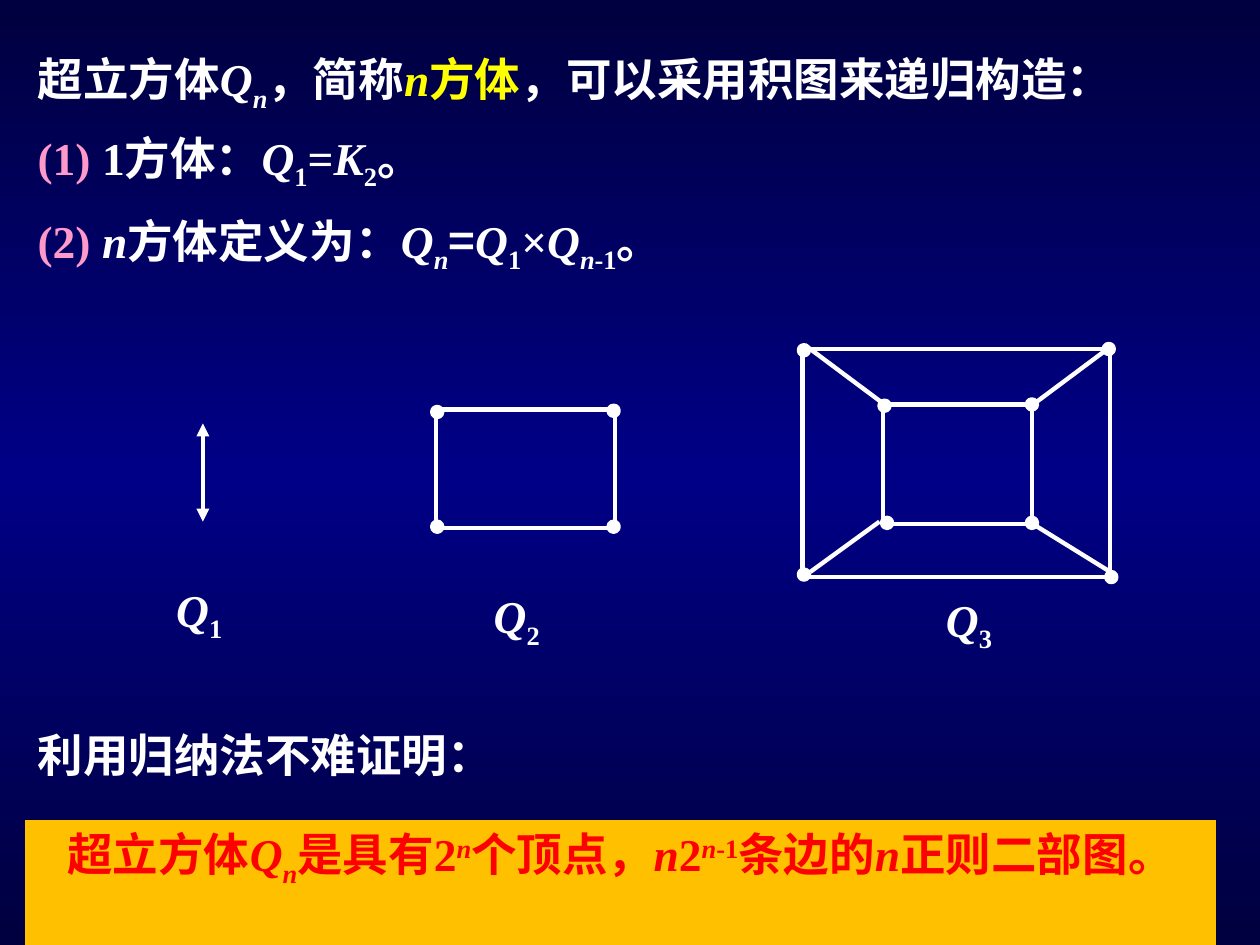
from copy import deepcopy

from pptx import Presentation
from pptx.dml.color import RGBColor
from pptx.enum.shapes import MSO_CONNECTOR as Connector, MSO_SHAPE as Shape
from pptx.enum.text import MSO_ANCHOR as Anchor, MSO_AUTO_SIZE as AutoSize, PP_ALIGN as Align
from pptx.oxml.ns import qn
from pptx.oxml.xmlchemy import OxmlElement
from pptx.util import Inches, Pt

WHITE = RGBColor(0xFF, 0xFF, 0xFF)
YELLOW = RGBColor(0xFF, 0xFF, 0x00)
PINK = RGBColor(0xFF, 0x99, 0xCC)
RED = RGBColor(0xFF, 0x00, 0x00)
ORANGE = RGBColor(0xFF, 0xC0, 0x00)
NAVY = RGBColor(0x00, 0x00, 0x3E)
BLUE = RGBColor(0x00, 0x00, 0x86)

ROMAN, HAN = "Times New Roman", "Noto Sans CJK SC"
SUB, SUP = -25000, 30000

# Run formats; whatever a format leaves out comes from SlideBuilder.base_format
UP = {}
CJK = {"name": HAN}
VAR = {"italic": True}
VAR_SUB = {"italic": True, "baseline": SUB}
NUM_SUB = {"baseline": SUB}
VAR_SUP = {"italic": True, "baseline": SUP}
NUM_SUP = {"baseline": SUP}


class SlideBuilder:
    base_format = {"name": ROMAN, "size": Pt(26), "bold": True, "italic": False}
    line_width = Pt(2.5)
    dot_size = 0.08

    def __init__(self, slide):
        self.slide = slide
        self.shapes = slide.shapes

    def background(self, colors):
        """Vertical gradient with evenly spaced colour stops."""
        fill = self.slide.background.fill
        fill.gradient()
        fill.gradient_angle = 270
        stop_list = self.slide._element.find(".//" + qn("a:gsLst"))
        while len(stop_list) < len(colors):
            stop_list.append(deepcopy(stop_list[0]))
        for i, (stop, color) in enumerate(zip(fill.gradient_stops, colors)):
            stop.color.rgb = color
            stop.position = i / (len(colors) - 1)

    def fill_text(self, shape, runs, color, align=Align.LEFT):
        frame = shape.text_frame
        frame.word_wrap = True
        frame.auto_size = AutoSize.SHAPE_TO_FIT_TEXT
        frame.vertical_anchor = Anchor.TOP
        paragraph = frame.paragraphs[0]
        paragraph.alignment = align
        for text, run_format in runs:
            run = paragraph.add_run()
            run.text = text
            values = {**self.base_format, "color": color, **run_format}
            run.font.color.rgb = values.pop("color")
            baseline = values.pop("baseline", None)
            for name, value in values.items():
                setattr(run.font, name, value)
            properties = run._r.get_or_add_rPr()
            if baseline:
                properties.set("baseline", str(baseline))
            east_asian = OxmlElement("a:ea")
            east_asian.set("typeface", HAN)
            properties.find(qn("a:latin")).addnext(east_asian)

    def text(self, left, top, width, height, runs):
        box = self.shapes.add_textbox(*map(Inches, (left, top, width, height)))
        self.fill_text(box, runs, WHITE)

    def outline(self, shape):
        shape.line.color.rgb = WHITE
        shape.line.width = self.line_width

    def shape(self, kind, left, top, width, height, fill=None):
        shape = self.shapes.add_shape(kind, *map(Inches, (left, top, width, height)))
        shape.shadow.inherit = False
        if fill is None:
            shape.fill.background()
        else:
            shape.fill.solid()
            shape.fill.fore_color.rgb = fill
        return shape

    def frame(self, left, top, width, height):
        self.outline(self.shape(Shape.RECTANGLE, left, top, width, height))

    def vertices(self, corners):
        for left, top in corners:
            self.outline(self.shape(Shape.OVAL, left, top, self.dot_size, self.dot_size, WHITE))

    def edge(self, start, end, arrows=False):
        edge = self.shapes.add_connector(Connector.STRAIGHT, *map(Inches, (*start, *end)))
        self.outline(edge)
        edge._element.spPr.append(OxmlElement("a:effectLst"))
        if arrows:
            for tag in ("a:headEnd", "a:tailEnd"):
                tip = OxmlElement(tag)
                tip.set("type", "triangle")
                edge.line._get_or_add_ln().append(tip)

    def cube_label(self, left, top, dimension):
        self.text(left, top, 0.87, 0.6, [("Q", VAR), (dimension, NUM_SUB)])

    def banner(self, left, top, width, height, runs):
        banner = self.shape(Shape.RECTANGLE, left, top, width, height, ORANGE)
        banner.line.fill.background()
        self.fill_text(banner, runs, RED, Align.CENTER)


def main():
    deck = Presentation()
    deck.slide_width, deck.slide_height = Inches(10), Inches(7.5)
    builder = SlideBuilder(deck.slides.add_slide(deck.slide_layouts[6]))
    builder.background([NAVY, BLUE, NAVY])

    builder.text(0.2, 0.36, 9.61, 0.6, [
        ("超立方体", CJK), ("Q", VAR), ("n", VAR_SUB), ("，简称", CJK),
        ("n", {**VAR, "color": YELLOW}), ("方体", {**CJK, "color": YELLOW}),
        ("，可以采用积图来递归构造：", CJK)])
    builder.text(0.2, 0.98, 8.5, 0.6, [
        ("(1)", {"color": PINK}), (" 1方体：", UP), ("Q", VAR), ("1", NUM_SUB),
        ("=", UP), ("K", VAR), ("2", NUM_SUB), ("。", UP)])
    builder.text(0.2, 1.64, 8.5, 0.6, [
        ("(2) ", {"color": PINK}), ("n", VAR), ("方体定义为：", UP), ("Q", VAR),
        ("n", VAR_SUB), ("=", CJK), ("Q", VAR), ("1", NUM_SUB), ("×", UP),
        ("Q", VAR), ("n", VAR_SUB), ("-1", NUM_SUB), ("。", UP)])

    # Q1
    builder.edge((1.61, 3.36), (1.61, 4.14), arrows=True)
    builder.cube_label(1.3, 4.57, "1")

    # Q2
    builder.frame(3.46, 3.25, 1.42, 0.94)
    builder.vertices([(4.83, 4.14), (4.83, 3.22), (3.43, 3.23), (3.43, 4.14)])
    builder.cube_label(3.82, 4.62, "2")

    # Q3: outer and inner squares joined corner to corner
    builder.frame(6.37, 2.77, 2.44, 1.81)
    builder.frame(7.01, 3.21, 1.18, 0.95)
    builder.vertices([(6.34, 2.74), (8.76, 2.73), (8.78, 4.54), (6.34, 4.52),
                      (6.98, 3.18), (7, 4.11), (8.15, 4.11), (8.15, 3.17)])
    for start, end in [((6.39, 2.74), (7.02, 3.21)), ((6.98, 4.14), (6.43, 4.54)),
                       ((8.2, 4.16), (8.83, 4.55)), ((8.83, 2.74), (8.2, 3.21))]:
        builder.edge(start, end)
    builder.cube_label(7.41, 4.65, "3")

    builder.banner(0.2, 6.51, 9.45, 1.03, [
        ("超立方体", UP), ("Q", VAR), ("n", VAR_SUB), ("是具有", CJK), ("2", UP),
        ("n", VAR_SUP), ("个顶点，", UP), ("n", VAR), ("2", UP), ("n", VAR_SUP),
        ("-1", NUM_SUP), ("条边的", UP), ("n", VAR), ("正则二部图", UP), ("。", CJK)])
    builder.text(0.2, 5.72, 8.82, 0.54, [("利用归纳法不难证明：", UP)])

    deck.save("out.pptx")


if __name__ == "__main__":
    main()
